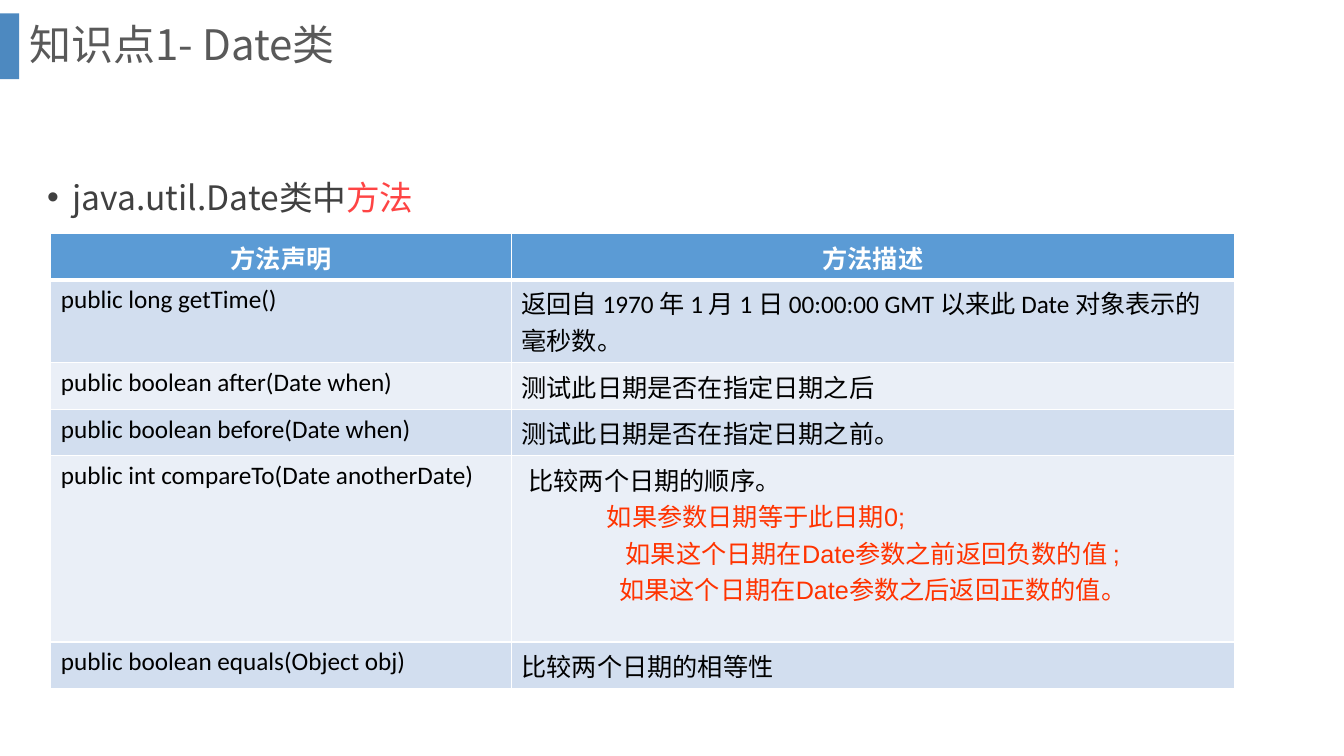
from pptx import Presentation
from pptx.dml.color import RGBColor
from pptx.enum.shapes import MSO_SHAPE
from pptx.enum.text import MSO_ANCHOR, PP_ALIGN
from pptx.oxml.ns import qn
from pptx.util import Pt
from lxml.etree import SubElement

# Content
TITLE = "知识点1- Date类"
BODY = [("java.util.Date类中", "text"), ("方法", "accent")]
HEADER = ["方法声明", "方法描述"]
METHODS = [
    ("public long getTime()",
     "返回自 1970 年 1 月 1 日 00:00:00 GMT 以来此 Date 对象表示的毫秒数。"),
    ("public boolean after(Date when)", "测试此日期是否在指定日期之后"),
    ("public boolean before(Date when)", "测试此日期是否在指定日期之前。"),
    ("public int compareTo(Date anotherDate)", None),
    ("public boolean equals(Object obj)", "比较两个日期的相等性"),
]
# Text, colour, left indent, alignment
COMPARE = [
    ("比较两个日期的顺序。", "black", 5, PP_ALIGN.LEFT),
    ("如果参数日期等于此日期0;", "red", 61, PP_ALIGN.LEFT),
    ("如果这个日期在Date参数之前返回负数的值 ;", "red", 0, PP_ALIGN.CENTER),
    ("如果这个日期在Date参数之后返回正数的值。", "red", 0, PP_ALIGN.CENTER),
]
COLORS = {
    "bar": "2E75B6", "title": "595959", "text": "404040", "accent": "FE4444",
    "header": "5B9BD5", "odd": "D2DEEF", "even": "EAEFF7",
    "white": "FFFFFF", "black": "000000", "red": "FF3300",
}
CJK = "Noto Sans CJK SC"
COLS = [329, 516.3]
ROWS = [32.8, 59.4, 33.2, 33.2, 133, 33]


def rgb(name):
    return RGBColor.from_string(COLORS[name])


def add_run(p, text, color, size, name, bold=False):
    r = p.add_run()
    r.text = text
    for key, value in {"size": Pt(size), "name": name, "bold": bold}.items():
        setattr(r.font, key, value)
    r.font.color.rgb = rgb(color)
    SubElement(r._r.get_or_add_rPr(), qn("a:ea"), typeface=CJK)


def add_text(s, x, y, w, h, anchor):
    tf = s.shapes.add_textbox(Pt(x), Pt(y), Pt(w), Pt(h)).text_frame
    tf.word_wrap = True
    tf.vertical_anchor = anchor
    return tf.paragraphs[0]


def style_cell(cell, fill, bottom):
    tcPr = cell._tc.get_or_add_tcPr()
    for side, width in {"L": 1, "R": 1, "T": 1, "B": bottom}.items():
        ln = SubElement(tcPr, qn(f"a:ln{side}"), w=str(Pt(width)))
        solid = SubElement(ln, qn("a:solidFill"))
        SubElement(solid, qn("a:srgbClr"), val=COLORS["white"])
    cell.fill.solid()
    cell.fill.fore_color.rgb = rgb(fill)


prs = Presentation()
prs.slide_width, prs.slide_height = Pt(960), Pt(540)
s = prs.slides.add_slide(prs.slide_layouts[6])

# Accent bar
bar = s.shapes.add_shape(MSO_SHAPE.RECTANGLE, 0, Pt(9.5), Pt(13.7), Pt(47))
bar.shadow.inherit = False
bar.line.fill.background()
bar.fill.solid()
bar.fill.fore_color.rgb = rgb("bar")
clr = bar.fill._xPr.find(qn("a:solidFill"))[0]
SubElement(clr, qn("a:alpha"), val="85000")

# Title
p = add_text(s, 13.7, 0, 911.5, 67, MSO_ANCHOR.MIDDLE)
p.line_spacing = 0.9
add_run(p, TITLE, "title", 30, CJK)

# Bulleted line
p = add_text(s, 26.6, 108.6, 867.6, 60, MSO_ANCHOR.TOP)
p.line_spacing = 1.5
pPr = p._p.get_or_add_pPr()
pPr.set("marL", str(Pt(18)))
pPr.set("indent", str(Pt(-18)))
SubElement(pPr, qn("a:buFont"), typeface="Arial")
SubElement(pPr, qn("a:buChar"), char="•")
for text, color in BODY:
    add_run(p, text, color, 24, CJK)

# Method table
table = s.shapes.add_table(len(ROWS), len(COLS), Pt(36.3), Pt(167),
                           Pt(sum(COLS)), Pt(sum(ROWS))).table
for col, width in zip(table.columns, COLS):
    col.width = Pt(width)
for row, height in zip(table.rows, ROWS):
    row.height = Pt(height)

for i, texts in enumerate([HEADER] + METHODS):
    head = i == 0
    fill = "header" if head else "odd" if i % 2 else "even"
    for j, text in enumerate(texts):
        cell = table.cell(i, j)
        style_cell(cell, fill, 3 if head else 1)
        align = PP_ALIGN.CENTER if head else PP_ALIGN.LEFT
        plain = [(text, "white" if head else "black", 0, align)]
        font = "Calibri" if text else "Arial"
        tf = cell.text_frame
        for k, (line, color, indent, al) in enumerate(plain if text else COMPARE):
            p = tf.add_paragraph() if k else tf.paragraphs[0]
            p.alignment = al
            if indent:
                p._p.get_or_add_pPr().set("marL", str(Pt(indent)))
            add_run(p, line, color, 18, font, head)

prs.save("out.pptx")
